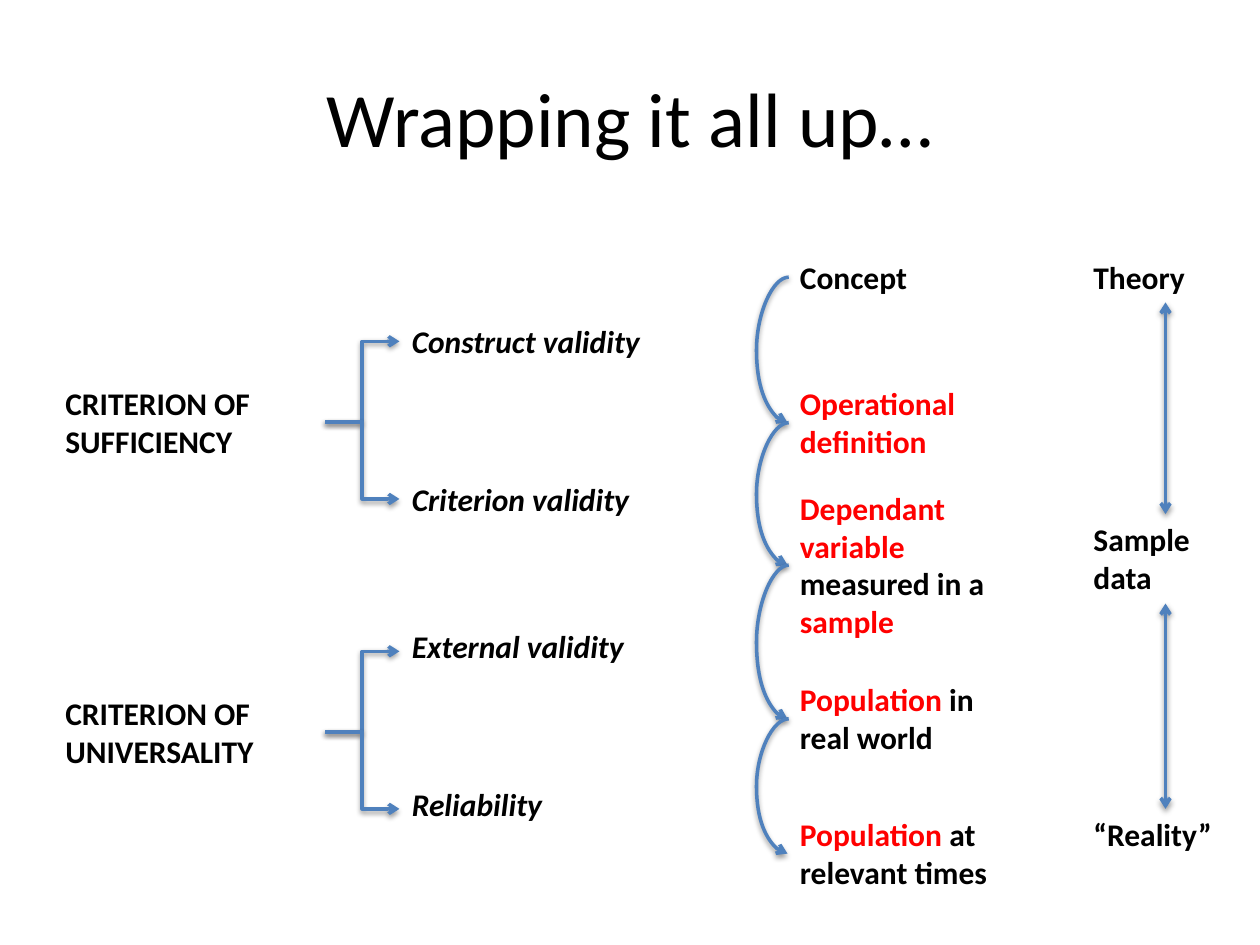
from itertools import pairwise

from lxml.etree import SubElement
from pptx import Presentation
from pptx.dml.color import RGBColor
from pptx.enum.shapes import MSO_CONNECTOR
from pptx.enum.text import MSO_ANCHOR, MSO_AUTO_SIZE, PP_ALIGN
from pptx.oxml.ns import qn
from pptx.util import Inches, Pt

COLORS = {"text": "000000", "accent": "FF0000", "line": "4F81BD", "shadow": "000000"}
FONT = "Calibri"
ONE_LINE, TWO_LINES, FOUR_LINES = 0.4, 0.71, 1.31


def add_text(s, left, top, width, height, paragraphs, size=18, bold=True, italic=False):
    sp = s.shapes.add_textbox(Inches(left), Inches(top), Inches(width), Inches(height))
    tf = sp.text_frame
    tf.word_wrap = True
    tf.auto_size = MSO_AUTO_SIZE.SHAPE_TO_FIT_TEXT
    for i, parts in enumerate(paragraphs):
        p = tf.paragraphs[0] if i == 0 else tf.add_paragraph()
        for text, color in parts:
            r = p.add_run()
            r.text = text
            r.font.name = FONT
            r.font.size = Pt(size)
            r.font.bold = bold
            r.font.italic = italic
            r.font.color.rgb = RGBColor.from_string(COLORS[color])
    return tf


def add_arrow(s, kind, x1, y1, x2, y2, both_ends=False):
    c = s.shapes.add_connector(kind, Inches(x1), Inches(y1), Inches(x2), Inches(y2))
    c.line.color.rgb = RGBColor.from_string(COLORS["line"])
    c.line.width = Pt(2)
    ln = c.line._get_or_add_ln()
    if both_ends:
        SubElement(ln, qn("a:headEnd"), type="arrow")
    SubElement(ln, qn("a:tailEnd"), type="arrow")
    effects = SubElement(c._element.spPr, qn("a:effectLst"))
    shadow = SubElement(effects, qn("a:outerShdw"), blurRad=str(Pt(3.1)),
                        dist=str(Pt(1.6)), dir="5400000", rotWithShape="0")
    color = SubElement(shadow, qn("a:srgbClr"), val=COLORS["shadow"])
    SubElement(color, qn("a:alpha"), val="38000")
    return c


def add_curve(s, x, top, bottom, bulge=0.25, width=0.01):
    c = add_arrow(s, MSO_CONNECTOR.CURVE, x, bottom, x + width, top)
    spPr = c._element.spPr
    spPr.find(qn("a:xfrm")).set("rot", "10800000")
    guides = spPr.find(qn("a:prstGeom")).get_or_add_avLst()
    ratio = round((bulge + width) / width * 100000)
    SubElement(guides, qn("a:gd"), name="adj1", fmla=f"val {ratio}")


def add_title(s, left, top, width, height):
    tf = add_text(s, left, top, width, height, [[("Wrapping it all up…", "text")]],
                  size=44, bold=False)
    tf.auto_size = MSO_AUTO_SIZE.NONE
    tf.vertical_anchor = MSO_ANCHOR.MIDDLE
    tf.paragraphs[0].alignment = PP_ALIGN.CENTER


def add_criterion(s, left, top, name, branches):
    middle = top + 0.84
    add_text(s, left, top + 0.49, 2.17, TWO_LINES, [[(name, "text")]])
    for label, label_top, arrow_y in branches:
        add_text(s, left + 2.75, top + label_top, 2.58, ONE_LINE,
                 [[(label, "text")]], italic=True)
        add_arrow(s, MSO_CONNECTOR.ELBOW, left + 2.16, middle, left + 2.75, top + arrow_y)


def add_concept_chain(s, left, top):
    steps = [
        (0, 1.33, ONE_LINE, [("Concept", "text")]),
        (1, 1.67, TWO_LINES, [("Operational definition", "accent")]),
        (1.83, 2, FOUR_LINES, [("Dependant variable ", "accent"),
                               ("measured in a ", "text"), ("sample", "accent")]),
        (3.35, 2, TWO_LINES, [("Population", "accent"), (" in real world", "text")]),
        (4.42, 2.25, TWO_LINES, [("Population", "accent"), (" at relevant times", "text")]),
    ]
    for offset, width, height, parts in steps:
        add_text(s, left, top + offset, width, height, [parts])
    middles = [top + offset + height / 2 for offset, _, height, _ in steps]
    for start, end in pairwise(middles):
        add_curve(s, left, start, end)


def add_reality_scale(s, left, top):
    levels = [(0, ONE_LINE, ["Theory"]), (2.08, TWO_LINES, ["Sample", "data"]),
              (4.42, ONE_LINE, ["“Reality”"])]
    for offset, height, lines in levels:
        add_text(s, left, top + offset, 1.33, height, [[(line, "text")] for line in lines])
    x = left + 0.67
    for (upper, height, _), (lower, _, _) in pairwise(levels):
        add_arrow(s, MSO_CONNECTOR.STRAIGHT, x, top + upper + height, x, top + lower,
                  both_ends=True)


def main():
    prs = Presentation()
    prs.slide_width, prs.slide_height = Inches(10), Inches(7.5)
    s = prs.slides.add_slide(prs.slide_layouts[6])
    add_title(s, 0.5, 0.3, 9, 1.25)
    add_concept_chain(s, 6.25, 2)
    add_criterion(s, 0.42, 2.51, "CRITERION OF SUFFICIENCY",
                  [("Construct validity", 0, 0.2), ("Criterion validity", 1.25, 1.45)])
    add_criterion(s, 0.42, 4.97, "CRITERION OF UNIVERSALITY",
                  [("External validity", -0.04, 0.2), ("Reliability", 1.21, 1.45)])
    add_reality_scale(s, 8.58, 2)
    prs.save("out.pptx")


if __name__ == "__main__":
    main()
